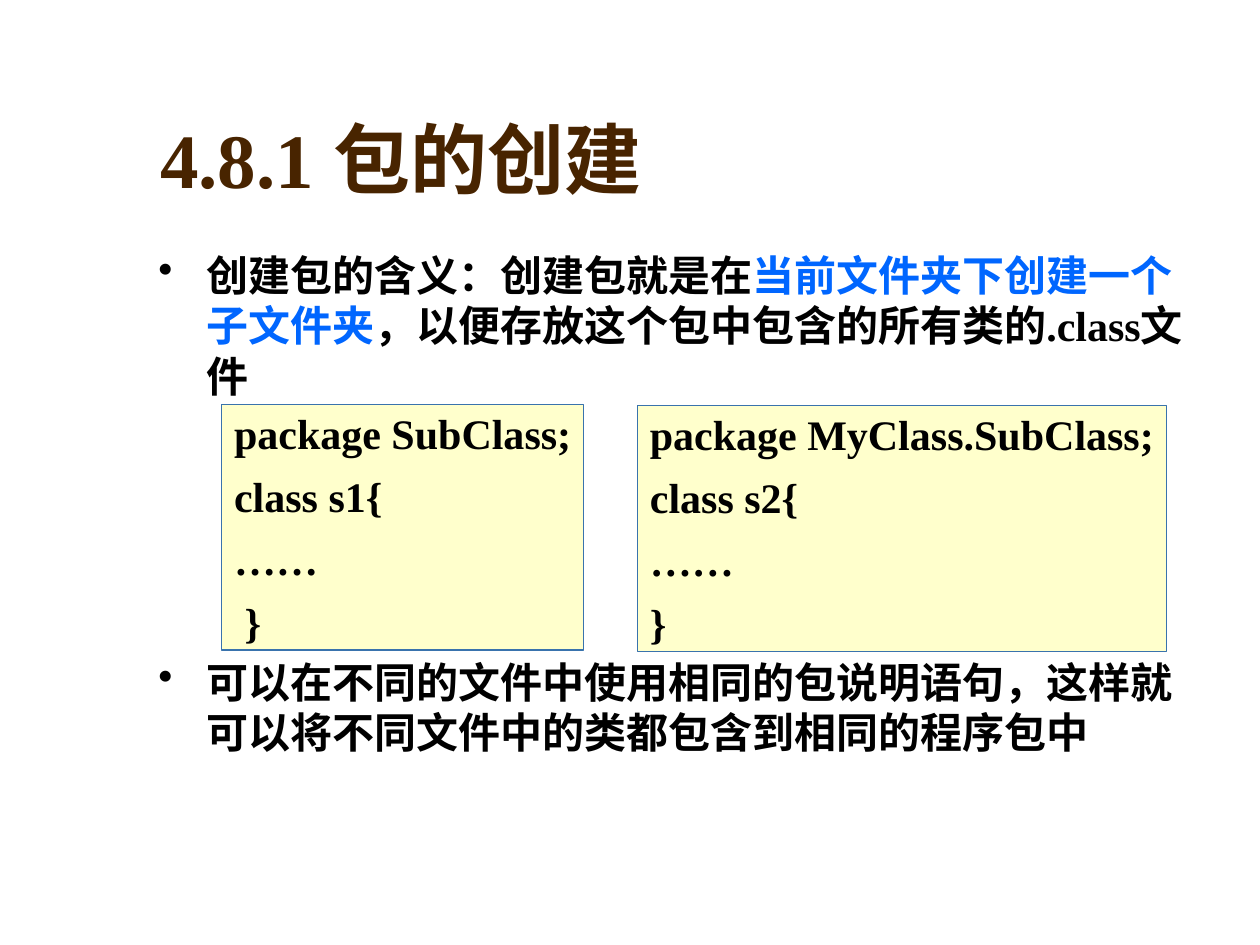
from lxml.etree import SubElement
from pptx import Presentation
from pptx.dml.color import RGBColor
from pptx.enum.shapes import MSO_SHAPE
from pptx.enum.text import MSO_ANCHOR, MSO_AUTO_SIZE, PP_ALIGN
from pptx.oxml.ns import qn
from pptx.util import Inches, Pt

FONT = "Times New Roman"
BLACK, BROWN, BLUE = "000000", "482400", "0066FF"
CODE_FILL, CODE_LINE = "FFFFCC", "3973AD"


def rgb(color):
    return RGBColor.from_string(color)


def add_bullet(paragraph, indent=0.38):
    properties = paragraph._p.get_or_add_pPr()
    properties.set("marL", str(Inches(indent)))
    properties.set("indent", str(-Inches(indent)))
    bullet_color = SubElement(properties, qn("a:buClr"))
    SubElement(bullet_color, qn("a:srgbClr")).set("val", BLACK)
    SubElement(properties, qn("a:buChar")).set("char", "•")


def write(frame, paragraphs, size=24, color=BLACK, gap=0, bullet=False,
          anchor=MSO_ANCHOR.TOP, wrap=True):
    """Fill a frame with paragraphs, each a list of (text, color or None) runs."""
    frame.auto_size = MSO_AUTO_SIZE.NONE
    frame.word_wrap = wrap
    frame.vertical_anchor = anchor
    for index, runs in enumerate(paragraphs):
        paragraph = frame.add_paragraph() if index else frame.paragraphs[0]
        if bullet:
            add_bullet(paragraph)
        paragraph.alignment = PP_ALIGN.LEFT
        paragraph.space_before = Pt(gap if index else 0)
        for text, run_color in runs:
            run = paragraph.add_run()
            run.text = text
            run.font.name = FONT
            run.font.size = Pt(size)
            run.font.bold = True
            run.font.color.rgb = rgb(run_color or color)


def place_title(slide, left, top, width, height):
    title = slide.shapes.title
    title.left, title.top = Inches(left), Inches(top)
    title.width, title.height = Inches(width), Inches(height)
    write(title.text_frame, [[("4.8.1 包的创建", None)]], size=44, color=BROWN,
          anchor=MSO_ANCHOR.BOTTOM)


def add_explanation(slide, left, top, width, height):
    """Two bullets, spaced apart to leave room for the code boxes."""
    explanation = slide.shapes.add_textbox(
        Inches(left), Inches(top), Inches(width), Inches(height))
    meaning = [
        ("创建包的含义：创建包就是在", None),
        ("当前文件夹下创建一个子文件夹", BLUE),
        ("，以便存放这个包中包含的所有类的.class文件", None),
    ]
    reuse = [("可以在不同的文件中使用相同的包说明语句，"
              "这样就可以将不同文件中的类都包含到相同的程序包中", None)]
    write(explanation.text_frame, [meaning, reuse], gap=146, bullet=True)


def add_code(slide, lines, left, top, width, height):
    code = slide.shapes.add_shape(
        MSO_SHAPE.RECTANGLE, Inches(left), Inches(top), Inches(width), Inches(height))
    code.shadow.inherit = False
    code.fill.solid()
    code.fill.fore_color.rgb = rgb(CODE_FILL)
    code.line.color.rgb = rgb(CODE_LINE)
    code.line.width = Pt(0.75)
    write(code.text_frame, [[(line, None)] for line in lines], gap=7.2,
          anchor=MSO_ANCHOR.MIDDLE, wrap=False)


def main():
    presentation = Presentation()
    presentation.slide_width, presentation.slide_height = Inches(10), Inches(7.5)
    slide = presentation.slides.add_slide(presentation.slide_layouts[5])
    place_title(slide, 1.17, 0.42, 8.5, 1.25)
    add_explanation(slide, 1.16, 1.93, 8.5, 4.5)
    add_code(slide, ["package SubClass;", "class s1{", "……", " }"],
             1.76, 3.21, 2.87, 1.95)
    add_code(slide, ["package MyClass.SubClass;", "class s2{", "……", "}"],
             5.06, 3.22, 4.2, 1.95)
    presentation.save("out.pptx")


if __name__ == "__main__":
    main()
